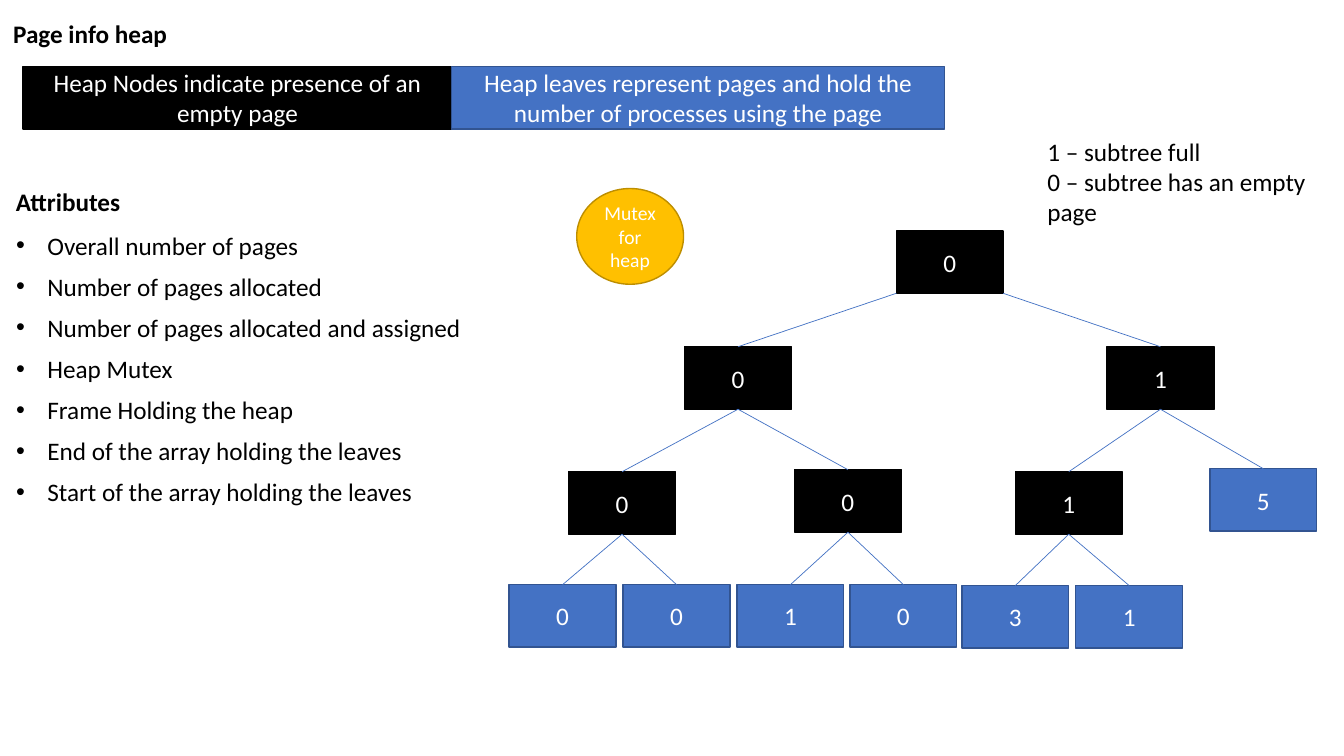
from dataclasses import dataclass

from lxml import etree
from pptx import Presentation
from pptx import util as u
from pptx.dml.color import RGBColor
from pptx.enum import shapes, text
from pptx.oxml import ns


@dataclass(frozen=True)
class Theme:
    """Colours, font and type sizes of the slide."""
    ink: str = "000000"
    paper: str = "FFFFFF"
    leaf: str = "4472C4"
    leaf_edge: str = "325491"
    mutex: str = "FFC000"
    mutex_edge: str = "BD8E00"
    font: str = "Calibri"
    body: int = 18
    small: int = 14


@dataclass(frozen=True)
class Box:
    """A region in inches."""
    left: float
    top: float
    width: float
    height: float

    def emu(self):
        """Return the region as python-pptx lengths."""
        return [u.Inches(side) for side in (self.left, self.top, self.width, self.height)]

    def inside(self, left, top, width, height):
        """Return a region offset from this one's corner."""
        return Box(self.left + left, self.top + top, width, height)


THEME = Theme()
NODE = (THEME.ink, THEME.ink)
LEAF = (THEME.leaf, THEME.leaf_edge)
MUTEX = (THEME.mutex, THEME.mutex_edge)
NODE_WIDTH, NODE_HEIGHT = 1.06, 0.62
FIRST_LEAF = 6

ATTRIBUTES = [
    "Overall number of pages",
    "Number of pages allocated",
    "Number of pages allocated and assigned",
    "Heap Mutex",
    "Frame Holding the heap",
    "End of the array holding the leaves",
    "Start of the array holding the leaves",
]

HEAP = [
    ("0", 3.84, 0),
    ("0", 1.74, 1.15), ("1", 5.93, 1.15),
    ("0", 0.59, 2.39), ("0", 2.83, 2.37), ("1", 5.02, 2.39), ("5", 6.95, 2.36),
    ("0", 0, 3.51), ("0", 1.13, 3.51), ("1", 2.26, 3.51), ("0", 3.38, 3.51),
    ("3", 4.49, 3.52), ("1", 5.62, 3.52),
]


def rgb(colour):
    """Turn a hex string into a colour."""
    return RGBColor.from_string(colour)


def write(shape, lines, colour=THEME.ink, size=THEME.body, bold=False,
          align=text.PP_ALIGN.LEFT, anchor=text.MSO_ANCHOR.TOP, wrap=True):
    """Fill a shape with one paragraph per line and return the paragraphs."""
    frame = shape.text_frame
    frame.word_wrap = wrap
    frame.auto_size = text.MSO_AUTO_SIZE.NONE
    frame.vertical_anchor = anchor
    for index, line in enumerate(lines):
        paragraph = frame.add_paragraph() if index else frame.paragraphs[0]
        paragraph.alignment = align
        run = paragraph.add_run()
        run.text = line
        run.font.name = THEME.font
        run.font.size = u.Pt(size)
        run.font.bold = bold
        run.font.color.rgb = rgb(colour)
    return frame.paragraphs


def add_block(slide, box, label, style, kind=shapes.MSO_SHAPE.RECTANGLE, size=THEME.body):
    """Draw a filled shape with a centred label."""
    fill, edge = style
    shape = slide.shapes.add_shape(kind, *box.emu())
    shape.shadow.inherit = False
    shape.fill.solid()
    shape.fill.fore_color.rgb = rgb(fill)
    shape.line.color.rgb = rgb(edge)
    shape.line.width = u.Pt(1)
    write(shape, [label], THEME.paper, size,
          align=text.PP_ALIGN.CENTER, anchor=text.MSO_ANCHOR.MIDDLE)
    return shape


def add_text(slide, box, lines, bold=False):
    """Place plain text."""
    write(slide.shapes.add_textbox(*box.emu()), lines, bold=bold)


def add_edge(slide, start_x, start_y, end_x, end_y):
    """Draw a thin line between two points."""
    line = slide.shapes.add_connector(
        shapes.MSO_CONNECTOR.STRAIGHT, start_x, start_y, end_x, end_y)
    line.line.color.rgb = rgb(THEME.leaf)
    line.line.width = u.Pt(0.5)
    etree.SubElement(line._element.spPr, ns.qn("a:effectLst"))


def place(shape, box):
    """Move a placeholder into a region."""
    shape.left, shape.top, shape.width, shape.height = box.emu()


def add_title(slide, box):
    """Place the slide title."""
    place(slide.shapes.title, box)
    write(slide.shapes.title, ["Page info heap"], bold=True, wrap=False)


def add_legend(slide, box):
    """Place the two-colour legend."""
    split = 0.465 * box.width
    add_block(slide, box.inside(0, 0, split, box.height),
              "Heap Nodes indicate presence of an empty page", NODE)
    add_block(slide, box.inside(split, 0, box.width - split, box.height),
              "Heap leaves represent pages and hold the number of processes using the page", LEAF)


def add_attributes(slide, box):
    """Place the heading and the bulleted attributes."""
    heading = 0.43
    add_text(slide, box.inside(0, 0, box.width, heading), ["Attributes"], bold=True)
    body = slide.placeholders[1]
    place(body, box.inside(0, heading, box.width, box.height - heading))
    for index, paragraph in enumerate(write(body, ATTRIBUTES)):
        paragraph.space_before = u.Pt(7.8 if index else 0)
        properties = paragraph._p.get_or_add_pPr()
        properties.set("marL", str(u.Inches(0.31)))
        properties.set("indent", str(u.Inches(-0.31)))


def add_heap(slide, box):
    """Draw the binary heap, joining each node to its parent."""
    nodes = [
        add_block(slide, box.inside(left, top, NODE_WIDTH, NODE_HEIGHT), value,
                  LEAF if index >= FIRST_LEAF else NODE)
        for index, (value, left, top) in enumerate(HEAP)
    ]
    for index, child in enumerate(nodes[1:], start=1):
        parent = nodes[(index - 1) // 2]
        share = (index - 1) % 2 if parent is nodes[0] else 0.5
        add_edge(slide, parent.left + int(share * parent.width), parent.top + parent.height,
                 child.left + child.width // 2, child.top)


def main():
    """Build and save the slide."""
    presentation = Presentation()
    presentation.slide_width = u.Inches(13.33)
    presentation.slide_height = u.Inches(7.5)
    slide = presentation.slides.add_slide(presentation.slide_layouts[1])
    add_title(slide, Box(0.03, 0.13, 1.77, 0.4))
    add_legend(slide, Box(0.23, 0.66, 9.14, 0.62))
    add_attributes(slide, Box(0.06, 1.8, 4.9, 3.4))
    add_heap(slide, Box(5.05, 2.29, 8.01, 4.14))
    add_block(slide, Box(5.72, 1.87, 1.06, 0.95), "Mutex for heap", MUTEX,
              shapes.MSO_SHAPE.OVAL, THEME.small)
    add_text(slide, Box(10.29, 1.3, 2.79, 1.01),
             ["1 – subtree full", "0 – subtree has an empty page"])
    presentation.save("out.pptx")


if __name__ == "__main__":
    main()
